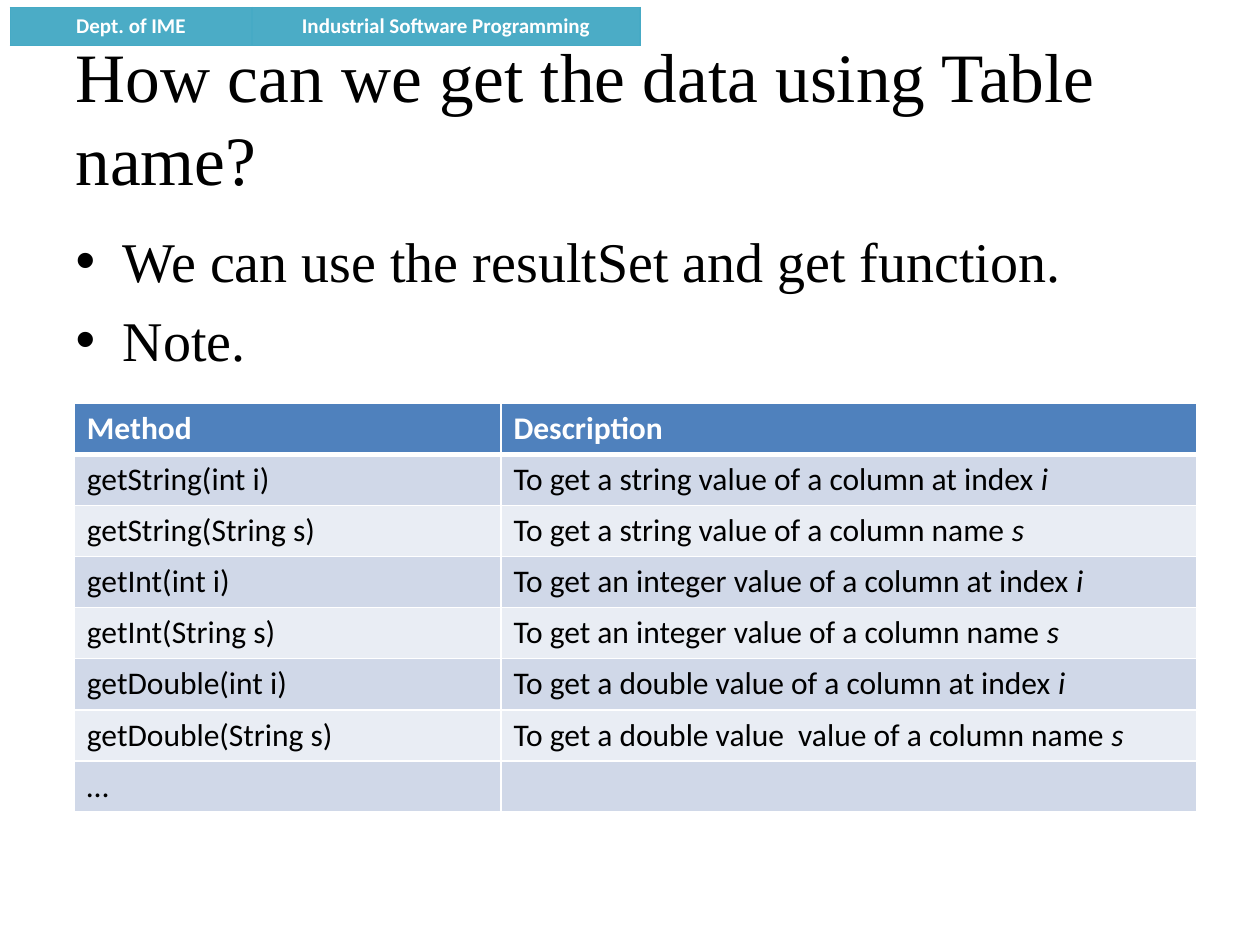
import pptx
import pptx.util
import pptx.dml.color
import pptx.enum.text
import lxml.etree

WIDE, HIGH = 10, 7.5
SERIF, SANS = "Times New Roman", "Calibri"
NS = "http://schemas.openxmlformats.org/drawingml/2006/main"
ALIGN = pptx.enum.text.PP_ALIGN
ROWS = [
    ("Method", "Description", ""),
    ("getString(int i)", "To get a string value of a column at index ", "i"),
    ("getString(String s)", "To get a string value of a column name ", "s"),
    ("getInt(int i)", "To get an integer value of a column at index ", "i"),
    ("getInt(String s)", "To get an integer value of a column name ", "s"),
    ("getDouble(int i)", "To get a double value of a column at index ", "i"),
    ("getDouble(String s)", "To get a double value  value of a column name ", "s"),
    ("…", "", ""),
]


def tint(text):
    return pptx.dml.color.RGBColor.from_string(text)


def place(shape, box):
    shape.left, shape.top, shape.width, shape.height = map(pptx.util.Inches, box)


def style(para, face, size, hue, bold=False, align=ALIGN.LEFT):
    font = para.font
    font.name, font.size, font.bold = face, pptx.util.Pt(size), bold
    font.color.rgb = tint(hue)
    para.alignment = align


def edge(cell, hue, width, sides="LRTB"):
    props = cell._tc.get_or_add_tcPr()
    for side in sides:
        line = lxml.etree.SubElement(props, f"{{{NS}}}ln{side}", w=str(pptx.util.Pt(width)))
        solid = lxml.etree.SubElement(line, f"{{{NS}}}solidFill")
        lxml.etree.SubElement(solid, f"{{{NS}}}srgbClr", val=hue)


def paint(cell, hue):
    cell.fill.solid()
    cell.fill.fore_color.rgb = tint(hue)


def grid(slide, box, count, shares):
    spots = map(pptx.util.Inches, box)
    table = slide.shapes.add_table(count, len(shares), *spots).table
    for col, share in zip(table.columns, shares):
        col.width = pptx.util.Inches(box[2] * share)
    return table


def banner(slide, box):
    table = grid(slide, box, 1, (0.384, 0.616))
    for cell, text in zip(table.rows[0].cells, ("Dept. of IME", "Industrial Software Programming")):
        cell.text = text
        style(cell.text_frame.paragraphs[0], SANS, 12, "FFFFFF", True, ALIGN.CENTER)
        edge(cell, "46AAC5", 0.75)
        paint(cell, "4BACC6")


def prose(shape, box, lines, size):
    place(shape, box)
    frame = shape.text_frame
    frame.text = "\n".join(lines)
    frame.auto_size = pptx.enum.text.MSO_AUTO_SIZE.NONE
    for para in frame.paragraphs:
        style(para, SERIF, size, "000000")


def methods(slide, box):
    table = grid(slide, box, len(ROWS), (0.38, 0.62))
    for num, (name, text, mark) in enumerate(ROWS):
        head = num == 0
        fill = "4F81BD" if head else ("E9EDF4", "D0D8E8")[num % 2]
        for cell, words in zip(table.rows[num].cells, (name, text)):
            cell.text = words
            style(cell.text_frame.paragraphs[0], SANS, 18, "FFFFFF" if head else "000000", head)
            edge(cell, "FFFFFF", 1, "LR")
            edge(cell, "FFFFFF", 3 if num == 1 else 1, "T")
            edge(cell, "FFFFFF", 3 if head else 1, "B")
            paint(cell, fill)
        if mark:
            run = table.cell(num, 1).text_frame.paragraphs[0].add_run()
            run.text, run.font.italic = mark, True


def main():
    deck = pptx.Presentation()
    deck.slide_width, deck.slide_height = pptx.util.Inches(WIDE), pptx.util.Inches(HIGH)
    slide = deck.slides.add_slide(deck.slide_layouts[1])
    title, body = slide.placeholders
    left, wide = WIDE * 0.05, WIDE * 0.9
    banner(slide, (0.08, 0.06, WIDE / 2, 0.3))
    prose(title, (left, 0.3, wide, HIGH / 6), ["How can we get the data using Table name?"], 39.6)
    prose(body, (left, 1.75, wide, HIGH * 0.66),
          ["We can use the resultSet and get function.", "Note."], 32)
    methods(slide, (0.59, 3.2, 8.91, 3.24))
    deck.save("out.pptx")


if __name__ == "__main__":
    main()
